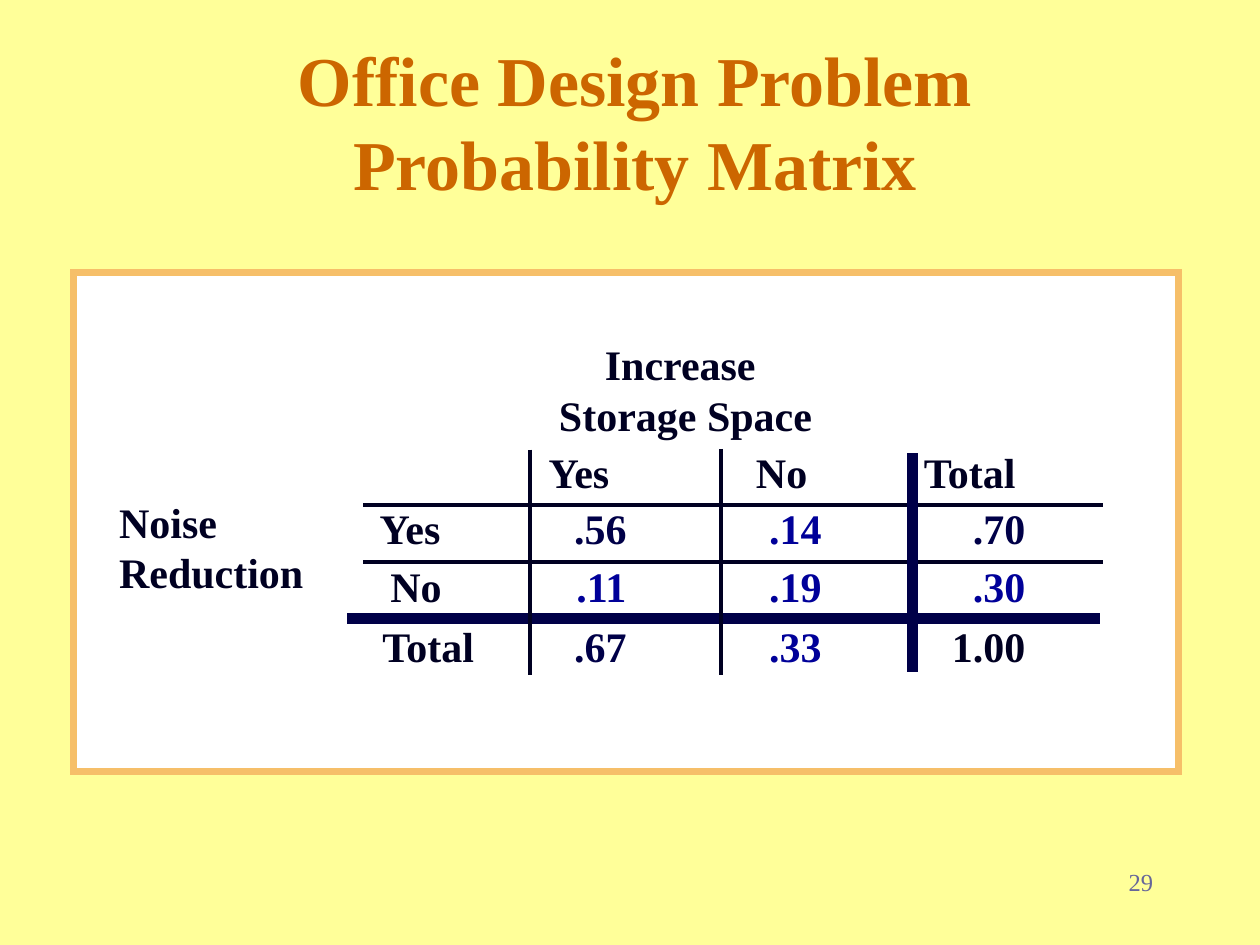
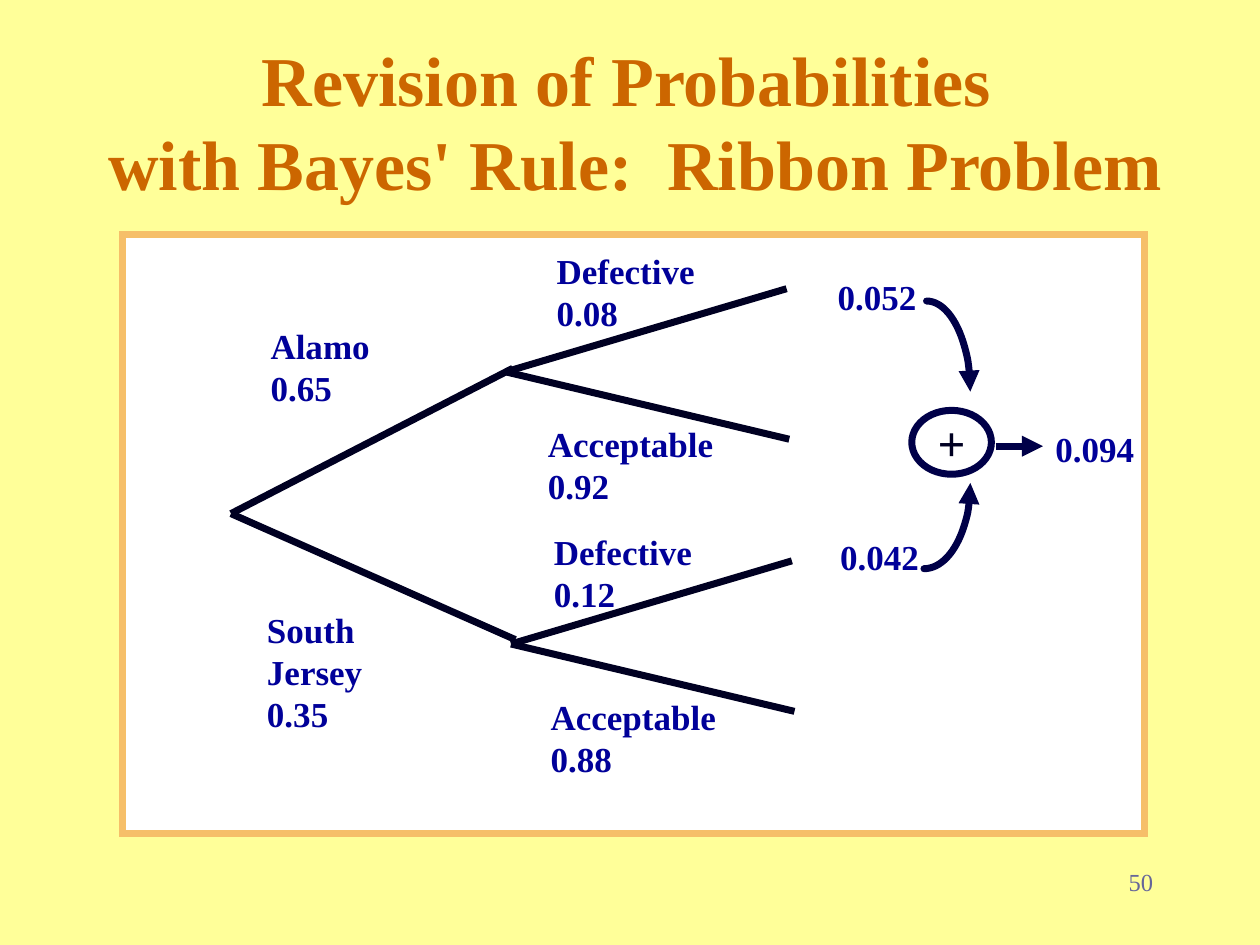
import pptx
import pptx.dml.color
import pptx.enum.shapes
import pptx.enum.text
import pptx.oxml
import pptx.oxml.ns
import pptx.util
from lxml import etree

Pt = pptx.util.Pt
RGBColor = pptx.dml.color.RGBColor
SHAPE = pptx.enum.shapes.MSO_SHAPE
ALIGN = pptx.enum.text.PP_ALIGN
ANCHOR = pptx.enum.text.MSO_ANCHOR
qn = pptx.oxml.ns.qn

# Shared look
FONT = "Times New Roman"
CREAM = RGBColor(0xFF, 0xFF, 0x99)
WHITE = RGBColor(0xFF, 0xFF, 0xFF)
ORANGE = RGBColor(0xCC, 0x66, 0x00)
APRICOT = RGBColor(0xF6, 0xBF, 0x69)
INK = RGBColor(0x00, 0x00, 0x22)
NAVY = RGBColor(0x00, 0x00, 0x48)
BLUE = RGBColor(0x00, 0x00, 0x99)
SLATE = RGBColor(0x66, 0x66, 0x99)

# Probability matrix: texts with colours, and the insets that place them
MATRIX = [
    [("", INK), ("Yes", INK), ("No", INK), ("Total", INK)],
    [("Yes", INK), (".56", NAVY), (".14", BLUE), (".70", NAVY)],
    [("No", INK), (".11", BLUE), (".19", BLUE), (".30", BLUE)],
    [("Total", INK), (".67", NAVY), (".33", BLUE), ("1.00", INK)],
]
COLUMN_WIDTHS = [96, 108.5, 109.5, 108.5]
ROW_HEIGHT = 32.4
HEADER_INSETS = [0, 10.5, 20.5, 7]
LABEL_INSETS = [0, 10, 16, 11.5]
VALUE_INSETS = [0, 53.5, 51.5, 43.5]
TOP_INSETS = [1.5, 1, 1.5, 3.5]

# Rules of the matrix: start, end, colour, weight
RULES = [
    ((207.5, 288.5), (630, 288.5), INK, 2),
    ((207.5, 321), (630, 321), INK, 2),
    ((198.5, 353.5), (628.5, 353.5), NAVY, 6),
    ((303, 257), (303, 386), INK, 2),
    ((412, 256.5), (412, 386), INK, 2),
    ((521.5, 259), (521.5, 384), NAVY, 6),
]

# Probability tree: forks share the same branch offsets
ROOT = (132, 293.5)
NODES = [(293, 210.5), (294.5, 365.5)]
FORKS = [(289, 212.5), (292, 368)]
BRANCHES = [(160.5, -47.5), (162, 38.5)]
TREE_LABELS = [
    (147.5, 182, 71, ["Alamo", "0.65"]),
    (145.5, 344, 69, ["South", "Jersey", "0.35"]),
    (311, 139, 94, ["Defective", "0.08"]),
    (309.5, 299.5, 94, ["Defective", "0.12"]),
    (306, 238, 109, ["Acceptable", "0.92"]),
    (307.5, 394, 109, ["Acceptable", "0.88"]),
    (471.5, 154, 60, ["0.052"]),
    (473, 302.5, 60, ["0.042"]),
    (596, 241, 60, ["0.094"]),
]


def style(para, size, color, bold=True, align=ALIGN.LEFT):
    para.alignment = align
    para.font.name = FONT
    para.font.size = Pt(size)
    para.font.bold = bold
    para.font.color.rgb = color


def add_text(page, left, top, width, height, lines, size, color,
             bold=True, align=ALIGN.LEFT):
    box = page.shapes.add_textbox(Pt(left), Pt(top), Pt(width), Pt(height))
    box.text_frame.word_wrap = True
    box.text_frame.text = "\n".join(lines)
    for para in box.text_frame.paragraphs:
        style(para, size, color, bold, align)


def add_page(deck, title, number):
    page = deck.slides.add_slide(deck.slide_layouts[5])
    heading = page.shapes.title
    heading.left, heading.top = Pt(30), Pt(24)
    heading.width, heading.height = Pt(666), Pt(90)
    frame = heading.text_frame
    frame.text = title
    frame.vertical_anchor = ANCHOR.MIDDLE
    frame.auto_size = pptx.enum.text.MSO_AUTO_SIZE.NONE
    style(frame.paragraphs[0], 40, ORANGE, align=ALIGN.CENTER)
    add_text(page, 606, 492, 60, 36, [number], 14, SLATE, False, ALIGN.RIGHT)
    return page


def add_shape(page, kind, left, top, width, height, color, fill=None):
    shape = page.shapes.add_shape(kind, Pt(left), Pt(top), Pt(width), Pt(height))
    shape.shadow.inherit = False
    if fill is None:
        shape.fill.background()
    else:
        shape.fill.solid()
        shape.fill.fore_color.rgb = fill
    shape.line.color.rgb = color
    shape.line.width = Pt(4)
    return shape


def add_panel(page, left, top, width, height):
    panel = add_shape(page, SHAPE.RECTANGLE, left, top, width, height, APRICOT, WHITE)
    etree.SubElement(panel.line._get_or_add_ln(), qn("a:miter"), lim="800000")


def add_line(page, start, end, color, weight=4):
    line = page.shapes.add_connector(
        pptx.enum.shapes.MSO_CONNECTOR.STRAIGHT, *map(Pt, start + end))
    line.line.color.rgb = color
    line.line.width = Pt(weight)
    etree.SubElement(line._element.spPr, qn("a:effectLst"))
    return line


def add_arrowhead(shape, end):
    etree.SubElement(shape.line._get_or_add_ln(), qn("a:" + end), type="triangle")


def add_arc(page, left, top, width, height, angles, arrow_end):
    arc = add_shape(page, SHAPE.ARC, left, top, width, height, NAVY)
    for index, angle in enumerate(angles):
        arc.adjustments[index] = angle * 0.6  # 60000 units per degree
    arc.line._get_or_add_ln().set("cap", "rnd")
    add_arrowhead(arc, arrow_end)


def fill_cell(cell, row, column):
    text, color = MATRIX[row][column]
    cell.margin_left = cell.margin_right = cell.margin_bottom = 0
    cell.margin_top = Pt(TOP_INSETS[row])
    cell.vertical_anchor = ANCHOR.TOP
    cell.fill.solid()
    cell.fill.fore_color.rgb = WHITE
    cell.text = text
    align = ALIGN.LEFT
    if row == 0:
        cell.margin_left = Pt(HEADER_INSETS[column])
    elif column == 0:
        cell.margin_left = Pt(LABEL_INSETS[row])
    else:
        cell.margin_right = Pt(VALUE_INSETS[column])
        align = ALIGN.RIGHT
    style(cell.text_frame.paragraphs[0], 24, color, align=align)


def add_matrix(page, left, top):
    size = len(MATRIX)
    table = page.shapes.add_table(
        size, size, Pt(left), Pt(top),
        Pt(sum(COLUMN_WIDTHS)), Pt(size * ROW_HEIGHT)).table
    table.first_row = table.horz_banding = False
    for column, width in enumerate(COLUMN_WIDTHS):
        table.columns[column].width = Pt(width)
    for row in range(size):
        table.rows[row].height = Pt(ROW_HEIGHT)
        for column in range(size):
            fill_cell(table.cell(row, column), row, column)


def build_matrix_page(deck):
    page = add_page(deck, "Office Design Problem\vProbability Matrix", "29")
    add_panel(page, 42, 156, 631.5, 285)
    add_matrix(page, 207, 256.4)
    add_text(page, 306, 190, 171.5, 65, ["Increase ", "Storage Space"],
             24, INK, align=ALIGN.CENTER)
    add_text(page, 61, 280, 128, 65, ["Noise", "Reduction"], 24, INK)
    for rule in RULES:
        add_line(page, *rule)


def build_tree_page(deck):
    page = add_page(
        deck, "Revision of Probabilities \vwith Bayes' Rule:  Ribbon Problem", "50")
    add_panel(page, 70, 134, 584, 342.5)

    # Tree
    for node in NODES:
        add_line(page, ROOT, node, INK)
    for x, y in FORKS:
        for across, down in BRANCHES:
            add_line(page, (x, y), (x + across, y + down), INK)
    for left, top, width, lines in TREE_LABELS:
        add_text(page, left, top, width, 24 * len(lines) + 7, lines, 20, BLUE)

    # Sum of the two joint probabilities
    plus = add_shape(page, SHAPE.OVAL, 521, 234.5, 45.5, 36.5, NAVY)
    plus.text_frame.word_wrap = False
    plus.text_frame.vertical_anchor = ANCHOR.MIDDLE
    plus.text_frame.text = "+"
    style(plus.text_frame.paragraphs[0], 28, INK, align=ALIGN.CENTER)
    add_arc(page, 504.5, 172, 50, 103.5, (270, 0), "tailEnd")
    add_arc(page, 501.5, 227, 53, 98, (0, 90), "headEnd")
    add_arrowhead(add_line(page, (569, 255), (596, 255), NAVY), "tailEnd")


def main():
    deck = pptx.Presentation()
    deck.slide_width, deck.slide_height = Pt(720), Pt(540)
    background = deck.slide_master.background.fill
    background.solid()
    background.fore_color.rgb = CREAM
    build_matrix_page(deck)
    build_tree_page(deck)
    deck.save("out.pptx")


if __name__ == "__main__":
    main()
